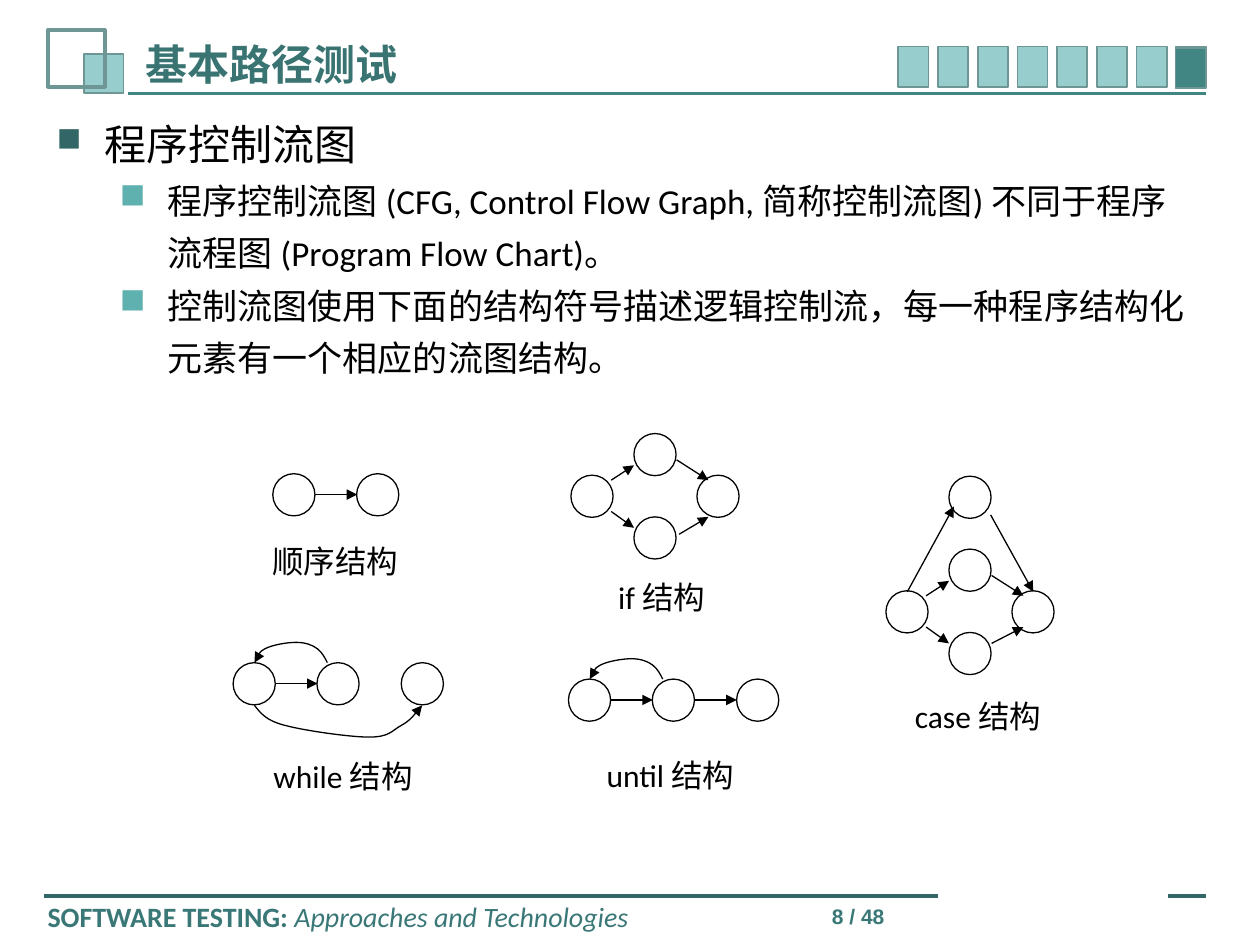
from lxml import etree
from pptx import Presentation
from pptx.dml.color import RGBColor
from pptx.enum.shapes import MSO_CONNECTOR, MSO_SHAPE
from pptx.enum.text import MSO_ANCHOR, PP_ALIGN
from pptx.oxml.ns import qn
from pptx.util import Cm, Pt

STRAIGHT = MSO_CONNECTOR.STRAIGHT
RECTANGLE, OVAL = MSO_SHAPE.RECTANGLE, MSO_SHAPE.OVAL
TOP = MSO_ANCHOR.TOP
LEFT, CENTER, RIGHT = PP_ALIGN.LEFT, PP_ALIGN.CENTER, PP_ALIGN.RIGHT

THEME = {
    "font": "Calibri", "number_font": "Arial",
    "ink": "000000", "node": "FFFFFF",
    "title": "397473", "footer": "3A7877",
    "rule": "428684", "footer_rule": "336666",
    "tile": "97CDCC", "tile_edge": "6E9695", "last_tile": "428684",
    "bullets": ("336666", "5FB1AF"),
    "title_size": 24, "body_sizes": (24, 20), "label_size": 18,
    "footer_size": 16, "number_size": 12,
    "thin": 0.75, "edge": 1, "rule_width": 1.5, "heavy": 2.25,
}

TITLE = "基本路径测试"
FOOTER = [("SOFTWARE TESTING:", True, False),
          (" Approaches and Technologies", False, True)]
PAGE = "8 / 48"
BODY = [
    (0, "程序控制流图"),
    (1, "程序控制流图 (CFG, Control Flow Graph, 简称控制流图) 不同于程序流程图 (Program Flow Chart)。"),
    (1, "控制流图使用下面的结构符号描述逻辑控制流，每一种程序结构化元素有一个相应的流图结构。"),
]
INDENTS = (0.97, 2.24)
HANGING = 0.97
BULLET_PERCENTS = (80, 100)

NODE = 0.85
ROW = [(0, 0), (1.69, 0), (3.39, 0)]
FIRST_STEP = (0.85, 0.42, 1.7, 0.42)
SECOND_STEP = (2.54, 0.42, 3.39, 0.42)
DIAMOND = [(1.27, 0), (0, 0.84), (1.27, 1.68), (2.54, 0.84)]
BRANCHES = [(0.81, 0.94, 1.27, 0.64), (2.13, 0.53, 2.77, 0.94),
            (0.81, 1.57, 1.27, 1.9)]
LOOP = [(1.9, 0), (1.85, -0.1), (1.8, -0.2), (1.7, -0.28),
        (1.6, -0.36), (1.45, -0.41), (1.27, -0.41),
        (1.09, -0.41), (0.79, -0.36), (0.64, -0.28),
        (0.51, -0.2), (0.46, -0.05), (0.43, 0)]
EXIT = [(0.43, 0.86), (0.56, 1.02), (0.66, 1.17), (1.07, 1.27),
        (1.45, 1.37), (2.36, 1.5), (2.74, 1.5),
        (3.15, 1.5), (3.2, 1.37), (3.38, 1.27),
        (3.56, 1.17), (3.68, 1.02), (3.81, 0.86)]

STRUCTURES = [
    {"label": "顺序结构", "label_box": (4.95, 10.8, 3.61, 1.02),
     "origin": (5.5, 9.55), "nodes": ROW[:2],
     "arrows": [FIRST_STEP], "curves": []},
    {"label": "if 结构", "label_box": (12.17, 11.53, 2.34, 1.78),
     "origin": (11.51, 8.74), "nodes": DIAMOND,
     "arrows": BRANCHES + [(2.18, 2.03, 2.77, 1.68)], "curves": []},
    {"label": "case 结构", "label_box": (17.91, 13.92, 3.61, 1.02),
     "origin": (17.86, 11.07), "nodes": [(1.27, -1.47)] + DIAMOND,
     "arrows": BRANCHES + [(2.13, 1.9, 2.77, 1.57),
                           (0.43, 0.86, 1.37, -0.86),
                           (2.11, -0.69, 2.97, 0.86)], "curves": []},
    {"label": "until 结构", "label_box": (11.71, 15.11, 3.61, 1.02),
     "origin": (11.46, 13.69), "nodes": ROW,
     "arrows": [FIRST_STEP, SECOND_STEP], "curves": [LOOP]},
    {"label": "while 结构", "label_box": (5.11, 15.14, 3.61, 1.02),
     "origin": (4.7, 13.36), "nodes": ROW,
     "arrows": [FIRST_STEP], "curves": [LOOP, EXIT]},
]


def rgb(name):
    return RGBColor.from_string(name)


def outline(shape, color, width, arrow=False):
    shape.line.color.rgb = rgb(color)
    shape.line.width = Pt(width)
    if arrow:
        etree.SubElement(shape.line._get_or_add_ln(), qn("a:tailEnd"), type="triangle")


def add_block(shapes, kind, box, fill, color, width):
    block = shapes.add_shape(kind, *map(Cm, box))
    block.shadow.inherit = False
    if fill:
        block.fill.solid()
        block.fill.fore_color.rgb = rgb(fill)
    else:
        block.fill.background()
    outline(block, color, width)


def add_line(shapes, ends, color, width, arrow=False):
    line = shapes.add_connector(STRAIGHT, *map(Cm, ends))
    outline(line, color, width, arrow)
    etree.SubElement(line._element.spPr, qn("a:effectLst"))


def add_curve(shapes, points):
    start, *controls = [(Cm(x), Cm(y)) for x, y in points]
    builder = shapes.build_freeform(*start)
    builder.add_line_segments(controls, close=False)
    curve = builder.convert_to_shape()
    curve.shadow.inherit = False
    curve.fill.background()
    outline(curve, THEME["ink"], THEME["thin"], arrow=True)
    segments = list(curve._element.iter(qn("a:lnTo")))
    for i in range(0, len(segments), 3):
        bezier = etree.Element(qn("a:cubicBezTo"))
        segments[i].addprevious(bezier)
        for segment in segments[i:i + 3]:
            bezier.append(segment[0])
            segment.getparent().remove(segment)


def add_frame(slide, box):
    frame = slide.shapes.add_textbox(*map(Cm, box)).text_frame
    frame.word_wrap = True
    frame.vertical_anchor = TOP
    return frame


def add_run(paragraph, text, size, color, bold=False, italic=False, font=THEME["font"]):
    run = paragraph.add_run()
    run.text = text
    run.font.name = font
    run.font.size = Pt(size)
    run.font.color.rgb = rgb(color)
    run.font.bold = bold
    run.font.italic = italic


def add_bullet(paragraph, level):
    paragraph.level = level
    props = paragraph._p.get_or_add_pPr()
    props.set("marL", str(Cm(INDENTS[level])))
    props.set("indent", str(-Cm(HANGING)))
    color = etree.SubElement(props, qn("a:buClr"))
    etree.SubElement(color, qn("a:srgbClr"), val=THEME["bullets"][level])
    etree.SubElement(props, qn("a:buSzPct"), val=str(BULLET_PERCENTS[level] * 1000))
    etree.SubElement(props, qn("a:buChar"), char="■")
    paragraph.line_spacing = 1.25


def add_header_and_footer(slide):
    shapes = slide.shapes
    add_line(shapes, (2.59, 1.88, 24.31, 1.88), THEME["rule"], THEME["rule_width"])
    for start, end in ((0.89, 18.9), (23.55, 24.31)):
        add_line(shapes, (start, 18.06, end, 18.06), THEME["footer_rule"], THEME["heavy"])
    edge = THEME["tile_edge"]
    add_block(shapes, RECTANGLE, (1.7, 1.09, 0.79, 0.79), THEME["tile"], edge, THEME["edge"])
    add_block(shapes, RECTANGLE, (0.97, 0.61, 1.14, 1.14), None, edge, THEME["heavy"])
    tiles = [(18.11 + 0.8 * i, 0.94, THEME["tile"]) for i in range(8)]
    for x, y, fill in tiles + [(23.7, 0.97, THEME["last_tile"])]:
        add_block(shapes, RECTANGLE, (x, y, 0.61, 0.81), fill, edge, THEME["edge"])

    title = add_frame(slide, (2.69, 0.66, 15.19, 1.24)).paragraphs[0]
    title.alignment = LEFT
    add_run(title, TITLE, THEME["title_size"], THEME["title"], bold=True)
    footer = add_frame(slide, (0.71, 18.01, 13, 0.94)).paragraphs[0]
    for text, bold, italic in FOOTER:
        add_run(footer, text, THEME["footer_size"], THEME["footer"], bold, italic)
    page = add_frame(slide, (15.49, 18.08, 2.59, 0.61)).paragraphs[0]
    page.alignment = RIGHT
    add_run(page, PAGE, THEME["number_size"], THEME["footer"], bold=True,
            font=THEME["number_font"])


def add_body(slide):
    frame = add_frame(slide, (0.89, 2.01, 23.42, 5.82))
    for i, (level, text) in enumerate(BODY):
        paragraph = frame.add_paragraph() if i else frame.paragraphs[0]
        add_bullet(paragraph, level)
        add_run(paragraph, text, THEME["body_sizes"][level], THEME["ink"])


def add_structure(slide, structure):
    left, top = structure["origin"]
    shapes = slide.shapes.add_group_shape().shapes
    for x, y in structure["nodes"]:
        add_block(shapes, OVAL, (left + x, top + y, NODE, NODE),
                  THEME["node"], THEME["ink"], THEME["thin"])
    for x1, y1, x2, y2 in structure["arrows"]:
        add_line(shapes, (left + x1, top + y1, left + x2, top + y2),
                 THEME["ink"], THEME["thin"], arrow=True)
    for points in structure["curves"]:
        add_curve(shapes, [(left + x, top + y) for x, y in points])
    label = add_frame(slide, structure["label_box"]).paragraphs[0]
    label.alignment = CENTER
    add_run(label, structure["label"], THEME["label_size"], THEME["ink"])


def main():
    deck = Presentation()
    deck.slide_width, deck.slide_height = Cm(25.4), Cm(19.05)
    slide = deck.slides.add_slide(deck.slide_layouts[6])
    add_header_and_footer(slide)
    add_body(slide)
    for structure in STRUCTURES:
        add_structure(slide, structure)
    deck.save("out.pptx")


if __name__ == "__main__":
    main()
